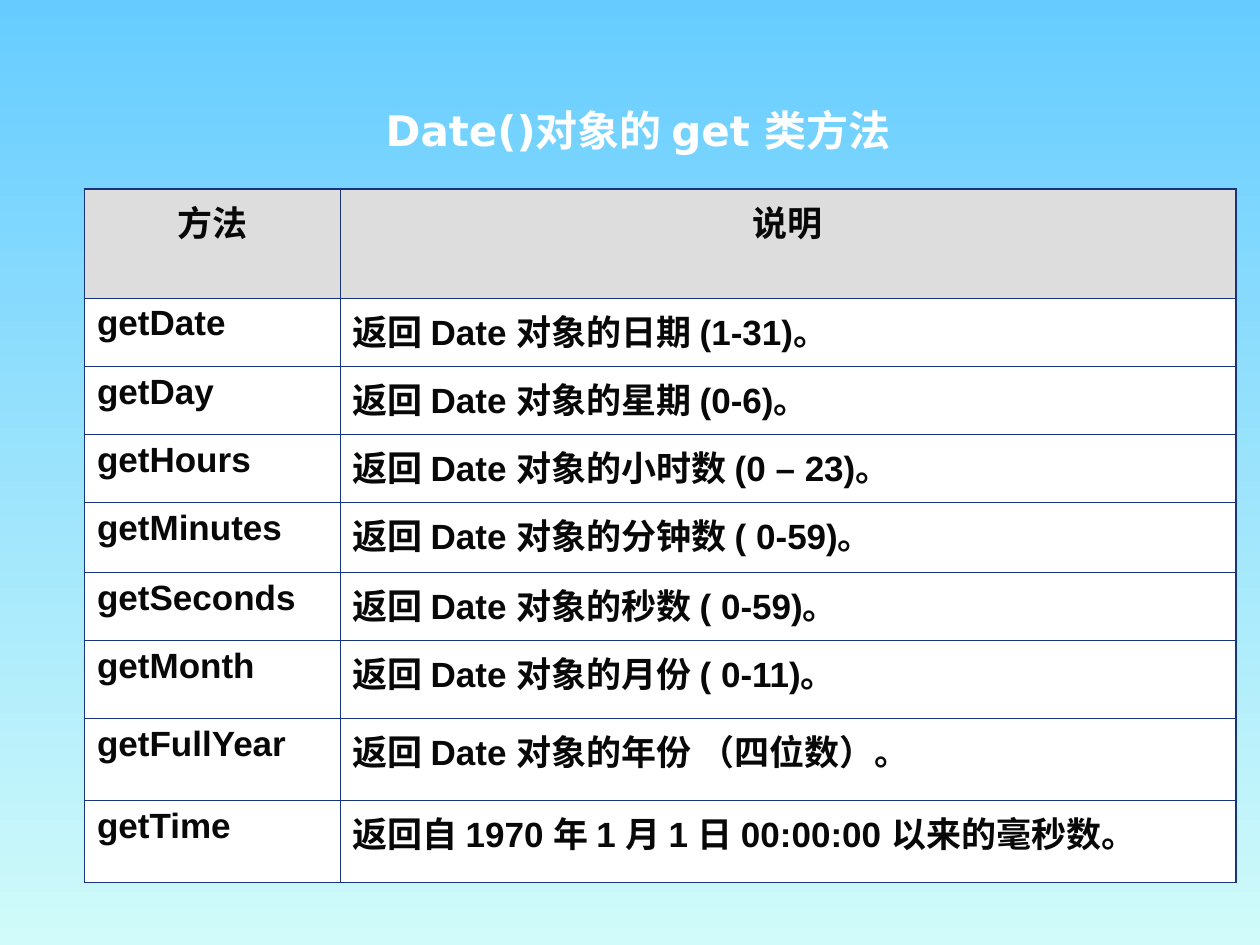
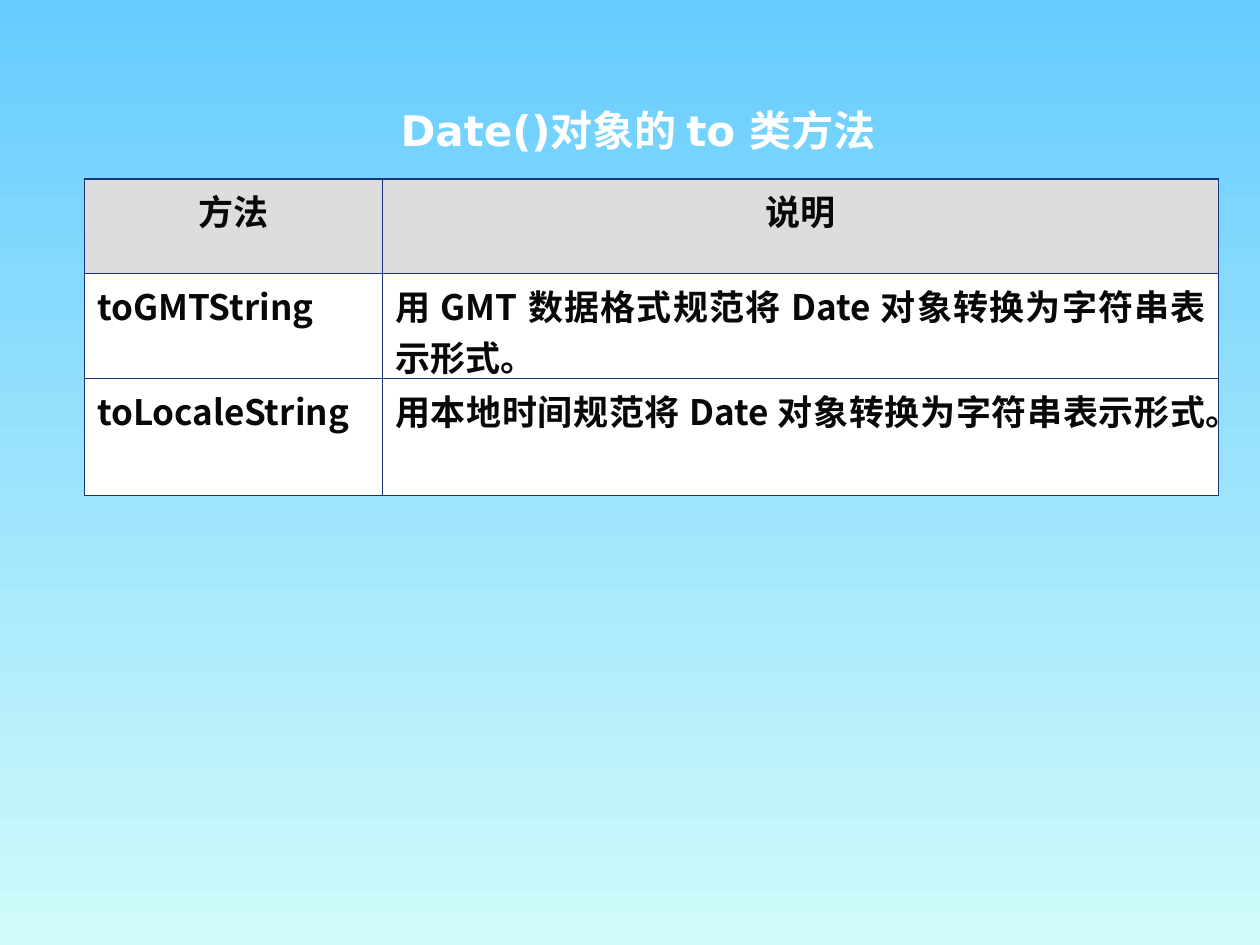
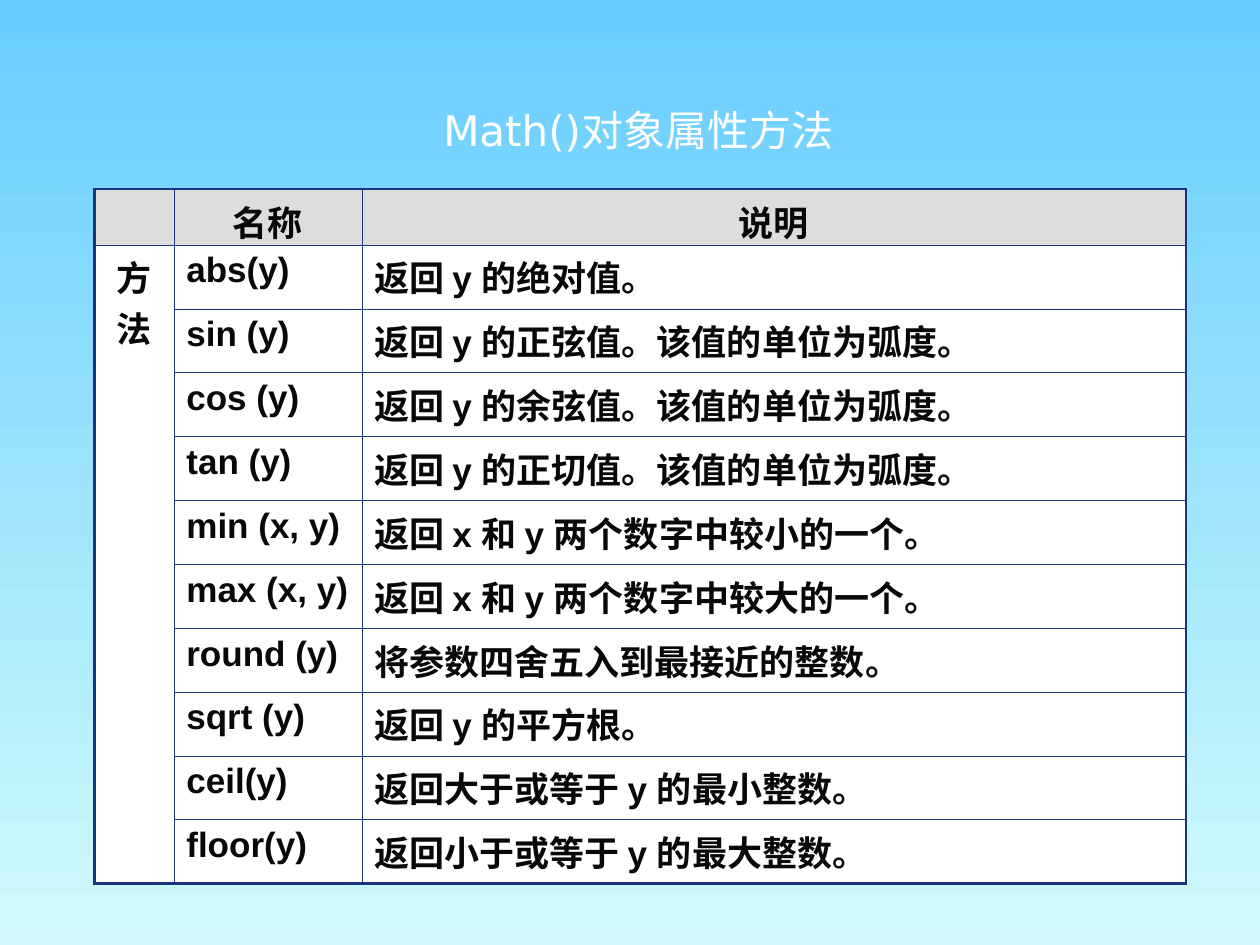
from lxml.etree import SubElement as Sub
from pptx import Presentation as Deck
from pptx.dml.color import RGBColor as RGB
from pptx.enum.text import MSO_ANCHOR as Anchor, PP_ALIGN as Align
from pptx.oxml.ns import qn
from pptx.util import Pt

SKY = RGB(0x66, 0xCC, 0xFF)
MINT = RGB(0xD0, 0xFB, 0xFA)
WHITE = RGB(0xFF, 0xFF, 0xFF)
GREY = RGB(0xDD, 0xDD, 0xDD)
INK = RGB(0x08, 0x08, 0x08)
NAVY = RGB(0x17, 0x34, 0x7D)
HAN = "Noto Sans CJK SC"

PAGES = [
    {
        "title": "Date()对象的 get 类方法", "bold": True, "font": "Arial",
        "place": (48.24, 108), "cols": (146, 512),
        "heights": (62.3, 38.9, 38.9, 38.9, 40, 38.9, 44.6, 46.9, 46.9),
        "thick": 1.08, "thin": 0.45, "group": False,
        "rows": [
            ("方法", "说明"),
            ("getDate", "返回 Date 对象的日期 (1-31)。"),
            ("getDay", "返回 Date 对象的星期 (0-6)。"),
            ("getHours", "返回 Date 对象的小时数 (0 – 23)。"),
            ("getMinutes", "返回 Date 对象的分钟数 ( 0-59)。"),
            ("getSeconds", "返回 Date 对象的秒数 ( 0-59)。"),
            ("getMonth", "返回 Date 对象的月份 ( 0-11)。"),
            ("getFullYear", "返回 Date 对象的年份 （四位数）。"),
            ("getTime", "返回自 1970 年 1 月 1 日 00:00:00 以来的毫秒数。"),
        ],
    },
    {
        "title": "Date()对象的 to 类方法", "bold": True, "font": HAN,
        "place": (48.24, 102.24), "cols": (170.5, 477.5),
        "heights": (54, 60, 67),
        "thick": 1.08, "thin": 0.45, "group": False,
        "rows": [
            ("方法", "说明"),
            ("toGMTString", "用 GMT 数据格式规范将 Date 对象转换为字符串表示形式。"),
            ("toLocaleString", "用本地时间规范将 Date 对象转换为字符串表示形式。"),
        ],
    },
    {
        "title": "Math()对象属性方法", "bold": False, "font": "Arial",
        "place": (54, 108), "cols": (45.3, 107.4, 470.9),
        "heights": (32,) + (36.5,) * 10,
        "thick": 1.47, "thin": 0.23, "group": True,
        "rows": [
            ("", "名称", "说明"),
            ("方法", "abs(y)", "返回 y 的绝对值。"),
            ("", "sin (y)", "返回 y 的正弦值。该值的单位为弧度。"),
            ("", "cos (y)", "返回 y 的余弦值。该值的单位为弧度。"),
            ("", "tan (y)", "返回 y 的正切值。该值的单位为弧度。"),
            ("", "min (x, y)", "返回 x 和 y 两个数字中较小的一个。"),
            ("", "max (x, y)", "返回 x 和 y 两个数字中较大的一个。"),
            ("", "round (y)", "将参数四舍五入到最接近的整数。"),
            ("", "sqrt (y)", "返回 y 的平方根。"),
            ("", "ceil(y)", "返回大于或等于 y 的最小整数。"),
            ("", "floor(y)", "返回小于或等于 y 的最大整数。"),
        ],
    },
]


def style(frame, align, font, size, bold, ink):
    para = frame.paragraphs[0]
    para.alignment = align
    for run in para.runs:
        face = run.font
        face.name, face.size, face.bold = font, Pt(size), bold
        face.color.rgb = ink
        Sub(run._r.get_or_add_rPr(), qn("a:ea"), typeface=HAN)


def border(cell, widths):
    props = cell._tc.get_or_add_tcPr()
    for i, (side, width) in enumerate(zip("LRTB", widths)):
        line = Sub(props, qn("a:ln" + side), w=str(int(Pt(width))))
        fill = Sub(line, qn("a:solidFill"))
        Sub(fill, qn("a:srgbClr"), val=str(NAVY))
        props.insert(i, line)


def add_title(slide, page):
    box = slide.shapes.add_textbox(Pt(57.6), Pt(51.84), Pt(614.2), Pt(44.64))
    frame = box.text_frame
    frame.word_wrap = True
    frame.vertical_anchor = Anchor.MIDDLE
    frame.text = page["title"]
    style(frame, Align.CENTER, "DejaVu Sans", 24, page["bold"], WHITE)


def add_grid(slide, page):
    rows, cols, heights = page["rows"], page["cols"], page["heights"]
    high, wide = len(rows), len(cols)
    left, top = page["place"]
    grid = slide.shapes.add_table(
        high, wide, Pt(left), Pt(top), Pt(sum(cols)), Pt(sum(heights))).table
    grid.first_row = grid.horz_banding = False
    for col, width in zip(grid.columns, cols):
        col.width = Pt(width)
    for row, height in zip(grid.rows, heights):
        row.height = Pt(height)
    if page["group"]:
        grid.cell(1, 0).merge(grid.cell(high - 1, 0))

    for r, row in enumerate(rows):
        for c, text in enumerate(row):
            cell = grid.cell(r, c)
            if cell.is_spanned:
                continue
            span = cell.span_height if cell.is_merge_origin else 1
            cell.fill.solid()
            cell.fill.fore_color.rgb = WHITE if r else GREY
            outer = (c == 0, c == wide - 1, r == 0, r + span == high)
            border(cell, [page["thick" if out else "thin"] for out in outer])
            cell.text_frame.text = text
            mid = r == 0 or span > 1
            style(cell.text_frame, Align.CENTER if mid else Align.JUSTIFY,
                  page["font"], 20, True, INK)


def main():
    deck = Deck()
    deck.slide_width, deck.slide_height = Pt(720), Pt(540)
    for page in PAGES:
        slide = deck.slides.add_slide(deck.slide_layouts[6])
        back = slide.background.fill
        back.gradient()
        back.gradient_angle = 270
        for stop, tint in zip(back.gradient_stops, (SKY, MINT)):
            stop.color.rgb = tint
        add_title(slide, page)
        add_grid(slide, page)
    deck.save("out.pptx")


if __name__ == "__main__":
    main()
